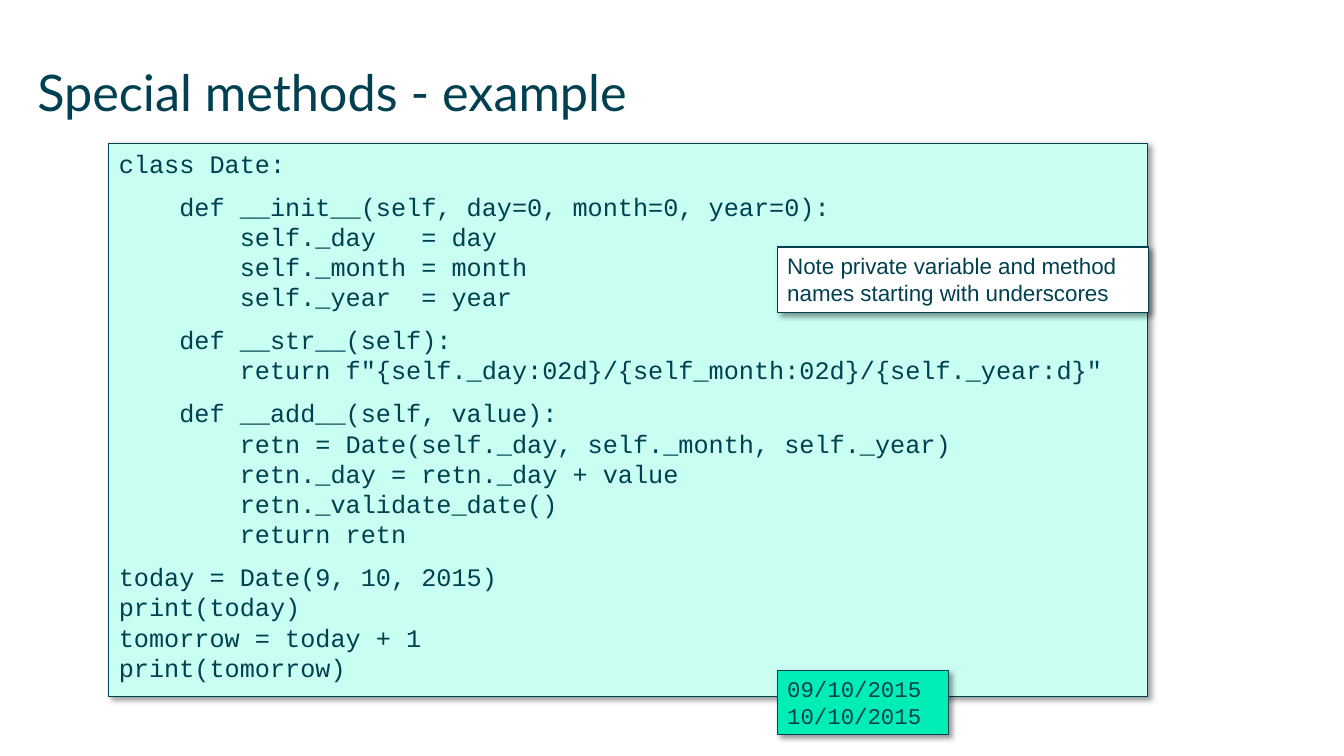
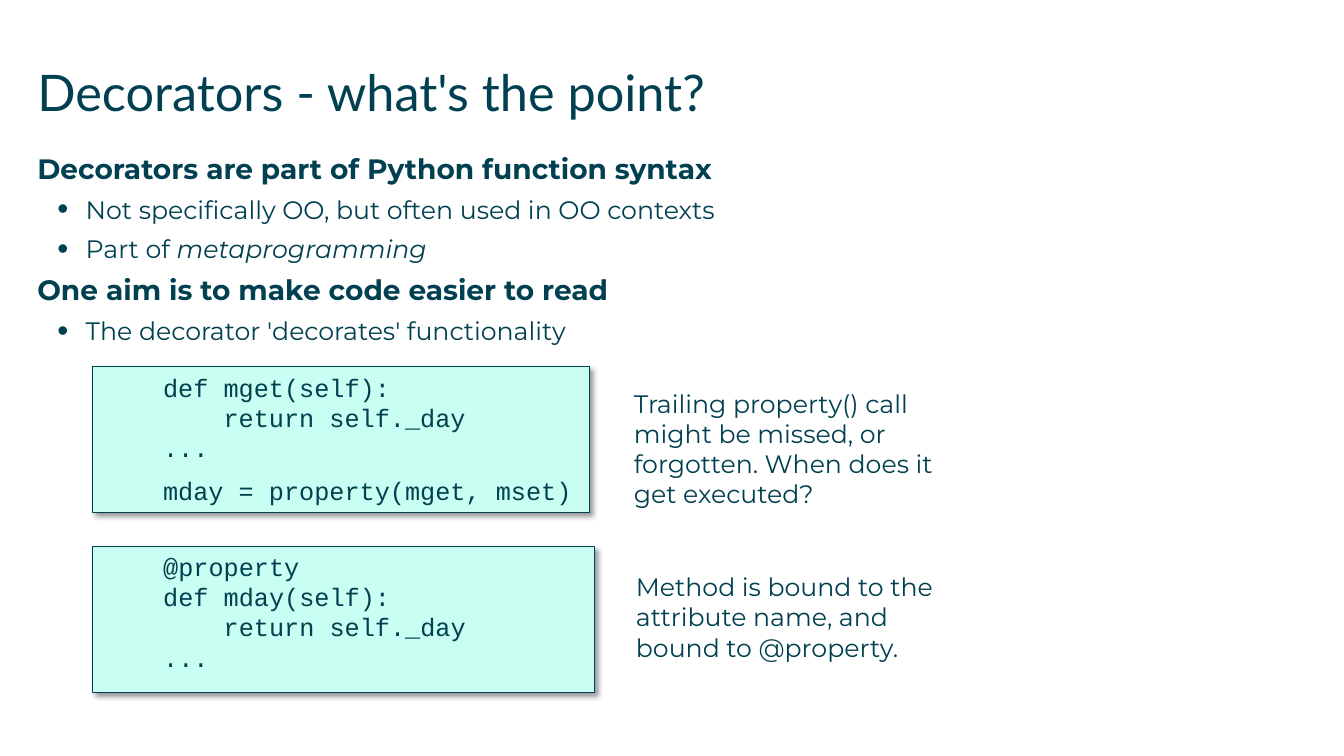
import pptx
import pptx.util
import pptx.dml.color
import pptx.enum.shapes
import pptx.enum.text
import pptx.oxml
import pptx.oxml.ns
import lxml.etree

RGBColor = pptx.dml.color.RGBColor
INK = RGBColor(0x00, 0x40, 0x50)
MINT = RGBColor(0xC8, 0xFF, 0xF2)
GREEN = RGBColor(0x00, 0xED, 0xB5)
WHITE = RGBColor(0xFF, 0xFF, 0xFF)

TITLE_FONT, BODY_FONT, CODE_FONT, NOTE_FONT = "Lato", "Montserrat", "Courier New", "Arial"
SLIDE_W, SLIDE_H = pptx.util.Inches(13.33), pptx.util.Inches(7.5)
PAGE = (0, 0, SLIDE_W, SLIDE_H)
TITLE_BOX = (2.78, 8.13, 94.5, 11.73)
CHAR_WIDTH = 0.6
BLOCK_GAP = 9

SHADOW = (
    '<a:effectLst %s><a:outerShdw blurRad="50800" dist="38100" dir="2700000" '
    'algn="tl" rotWithShape="0"><a:srgbClr val="000000"><a:alpha val="40000"/>'
    "</a:srgbClr></a:outerShdw></a:effectLst>" % pptx.oxml.ns.nsdecls("a")
)

DATE_CLASS = '''class Date:

    def __init__(self, day=0, month=0, year=0):
        self._day   = day
        self._month = month
        self._year  = year

    def __str__(self):
        return f"{self._day:02d}/{self_month:02d}/{self._year:d}"

    def __add__(self, value):
        retn = Date(self._day, self._month, self._year)
        retn._day = retn._day + value
        retn._validate_date()
        return retn

today = Date(9, 10, 2015)
print(today)
tomorrow = today + 1
print(tomorrow)'''

PROPERTY_CALL = '''    def mget(self):
        return self._day
    ...

    mday = property(mget, mset)'''

PROPERTY_DECORATOR = '''    @property
    def mday(self):
        return self._day
    ...'''

POINTS = [
    ("Decorators are part of Python function syntax",
     ["Not specifically OO, but often used in OO contexts", "Part of *metaprogramming*"]),
    ("One aim is to make code easier to read",
     ["The decorator 'decorates' functionality"]),
]


def within(box, x, y, w, h):
    left, top, width, height = box
    return (int(left + width * x / 100), int(top + height * y / 100),
            int(width * w / 100), int(height * h / 100))


def write(tf, text, font=BODY_FONT, size=18, bold=False, before=0, after=0,
          indent=0, hanging=0, bullet=None):
    p = tf.paragraphs[0]
    if p.runs:
        p = tf.add_paragraph()
    p.alignment = pptx.enum.text.PP_ALIGN.LEFT
    p.space_before = pptx.util.Pt(before)
    p.space_after = pptx.util.Pt(after)
    pPr = p._p.get_or_add_pPr()
    pPr.set("marL", str(int(indent)))
    pPr.set("indent", str(-int(hanging)))
    if bullet:
        for tag, name, value in (("a:buSzPct", "val", "125000"),
                                 ("a:buFont", "typeface", NOTE_FONT),
                                 ("a:buChar", "char", bullet)):
            lxml.etree.SubElement(pPr, pptx.oxml.ns.qn(tag)).set(name, value)
    for i, part in enumerate(text.split("*")):
        if part:
            r = p.add_run()
            r.text = part
            r.font.name = font
            r.font.size = pptx.util.Pt(size)
            r.font.bold = bold
            r.font.italic = i % 2 == 1
            r.font.color.rgb = INK


def write_code(tf, code, size=18):
    for n, block in enumerate(code.split("\n\n")):
        for i, line in enumerate(block.split("\n")):
            text = line.lstrip()
            indent = pptx.util.Pt((len(line) - len(text)) * CHAR_WIDTH * size)
            write(tf, text, font=CODE_FONT, size=size, indent=indent,
                  before=BLOCK_GAP if n and not i else 0)


def text_area(s, box, margins=True):
    tf = s.shapes.add_textbox(*box).text_frame
    tf.word_wrap = True
    if not margins:
        tf.margin_left = tf.margin_right = tf.margin_top = tf.margin_bottom = 0
    return tf


def panel(s, box, fill):
    sp = s.shapes.add_shape(pptx.enum.shapes.MSO_SHAPE.RECTANGLE, *box)
    sp.fill.solid()
    sp.fill.fore_color.rgb = fill
    sp.line.color.rgb = INK
    sp.line.width = pptx.util.Pt(0.75)
    sp._element.spPr.append(pptx.oxml.parse_xml(SHADOW))
    tf = sp.text_frame
    tf.word_wrap = True
    tf.vertical_anchor = pptx.enum.text.MSO_ANCHOR.TOP
    return tf


def titled_slide(prs, title):
    s = prs.slides.add_slide(prs.slide_layouts[6])
    tf = text_area(s, within(PAGE, *TITLE_BOX), margins=False)
    write(tf, title, font=TITLE_FONT, size=36)
    return s


def class_listing(s, box):
    write_code(panel(s, box, MINT), DATE_CLASS)
    output = panel(s, within(box, 64.38, 95.27, 16.5, 11.66), GREEN)
    write_code(output, "09/10/2015\n10/10/2015", size=16)
    note = panel(s, within(box, 64.38, 18.77, 35.73, 11.84), WHITE)
    write(note, "Note private variable and method names starting with underscores",
          font=NOTE_FONT, size=16)


def bullet_points(s, box):
    tf = text_area(s, box, margins=False)
    for heading, items in POINTS:
        write(tf, heading, size=20, bold=True, after=6.5)
        for item in items:
            write(tf, item, after=6.5, bullet="•", indent=pptx.util.Inches(0.48),
                  hanging=pptx.util.Inches(0.28))


def code_with_remark(s, box, code, remark, code_width, remark_left, remark_top):
    write_code(panel(s, within(box, 0, 0, code_width, 100), MINT), code)
    remark_box = within(box, remark_left, remark_top, 37.92, 100 - remark_top)
    write(text_area(s, remark_box), remark)


def special_methods(prs):
    s = titled_slide(prs, "Special methods - example")
    class_listing(s, within(PAGE, 8.1, 18.93, 77.25, 73.2))


def decorators(prs):
    s = titled_slide(prs, "Decorators - what's the point?")
    bullet_points(s, within(PAGE, 2.78, 20, 94.43, 72.27))
    code_with_remark(
        s, within(PAGE, 6.9, 48.53, 63.68, 19.33), PROPERTY_CALL,
        "Trailing property() call might be missed, or forgotten. When does it get executed?",
        code_width=58.06, remark_left=62.08, remark_top=11)
    code_with_remark(
        s, within(PAGE, 6.9, 72.27, 63.68, 19.33), PROPERTY_DECORATOR,
        "Method is bound to the attribute name, and bound to @property.",
        code_width=58.65, remark_left=62.31, remark_top=13.76)


def main():
    prs = pptx.Presentation()
    prs.slide_width, prs.slide_height = SLIDE_W, SLIDE_H
    special_methods(prs)
    decorators(prs)
    prs.save("out.pptx")


if __name__ == "__main__":
    main()
